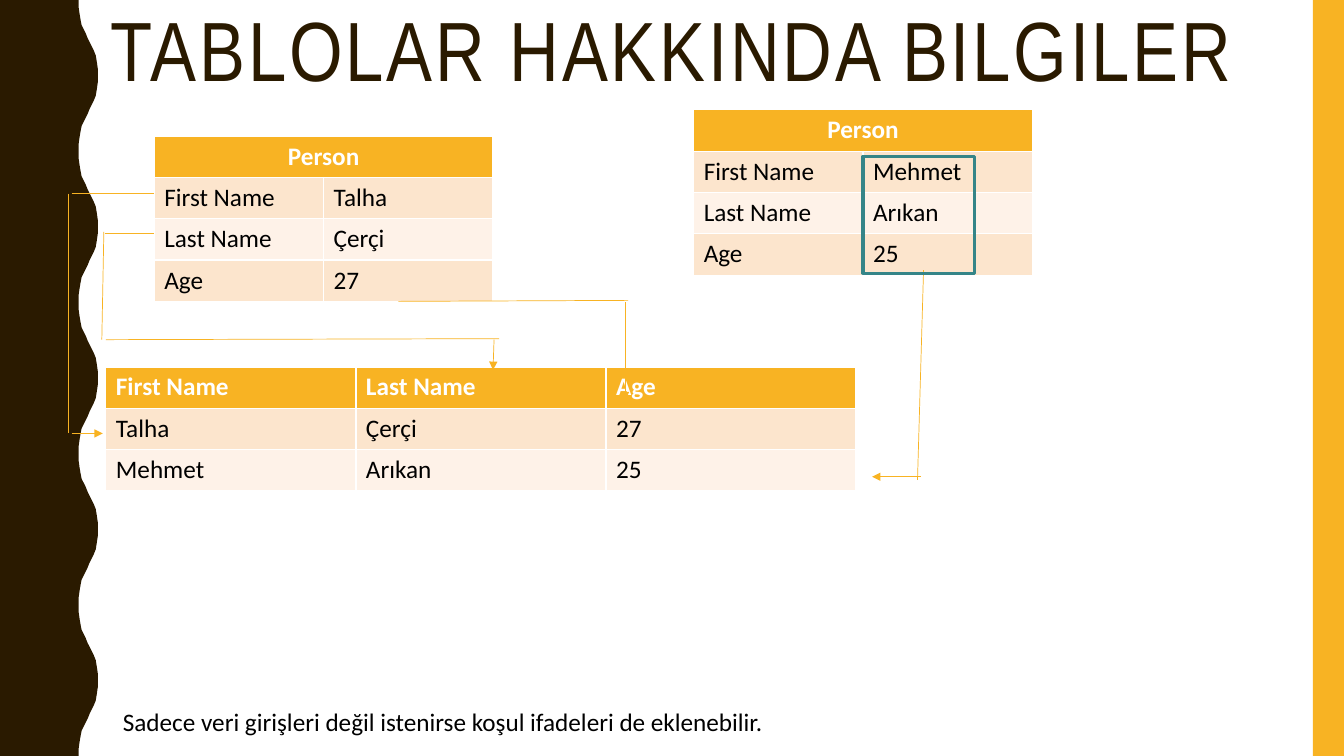
from lxml.etree import SubElement
from pptx import Presentation
from pptx.dml.color import RGBColor
from pptx.enum.shapes import MSO_CONNECTOR as Connector, MSO_SHAPE as Preset
from pptx.enum.text import MSO_ANCHOR as Anchor, MSO_AUTO_SIZE as AutoSize, PP_ALIGN as Align
from pptx.oxml.ns import qn
from pptx.util import Inches, Pt

DARK, AMBER, TEAL = "2A1A00", "F8B323", "358588"
WHITE, BLACK = "FFFFFF", "000000"
BANDS = ["FCE5CD", "FEF2E8"]
BODY = {"name": "Calibri", "size": Pt(18), "bold": False}
HEADER = {**BODY, "bold": True}
TITLE = {"name": "Arial Narrow", "size": Pt(60), "bold": False}


def color(value):
    return RGBColor.from_string(value)


def write(frame, text, formats, text_color, align=Align.LEFT):
    paragraph = frame.paragraphs[0]
    paragraph.alignment = align
    run = paragraph.add_run()
    run.text = text
    for name, value in formats.items():
        setattr(run.font, name, value)
    run.font.color.rgb = color(text_color)
    return run


presentation = Presentation()
presentation.slide_width = Inches(13.33)
presentation.slide_height = Inches(7.5)
slide = presentation.slides.add_slide(presentation.slide_layouts[5])
shapes = slide.shapes

crest_x = [0.78, 0.78, 0.79, 0.8, 0.81, 0.83, 0.85, 0.87, 0.89, 0.91, 0.93, 0.95, 0.96, 0.97, 0.97]
crest_y = [0, 0.07, 0.14, 0.2, 0.25, 0.29, 0.33, 0.38, 0.42, 0.46, 0.5, 0.55, 0.61, 0.68, 0.75]
wave = []
for half in range(10):
    edge = crest_x if half % 2 == 0 else crest_x[::-1]
    wave += [(Inches(x), Inches(y + half * 0.75)) for x, y in zip(edge, crest_y)]
builder = shapes.build_freeform(0, 0)
builder.add_line_segments(wave + [(0, Inches(7.5))], close=True)
wavy_band = builder.convert_to_shape()
side_band = shapes.add_shape(Preset.RECTANGLE, Inches(13.02), 0, Inches(0.31), Inches(7.5))
for band, fill in [(wavy_band, DARK), (side_band, AMBER)]:
    band.shadow.inherit = False
    band.fill.solid()
    band.fill.fore_color.rgb = color(fill)
    band.line.fill.background()

title = shapes.title
title.left, title.top, title.width, title.height = 0, 0, Inches(13.33), Inches(1.04)
title_frame = title.text_frame
title_frame.auto_size = AutoSize.NONE
title_frame.vertical_anchor = Anchor.BOTTOM
title_frame.paragraphs[0].line_spacing = 0.9
title_run = write(title_frame, "TABLOLAR HAKKINDA BILGILER", TITLE, DARK, Align.CENTER)
title_run.font._element.set("spc", "200")

tables = [
    (1.53, 1.35, 1.68, [["Person", ""], ["First Name", "Talha"], ["Last Name", "Çerçi"], ["Age", "27"]]),
    (1.05, 3.64, 2.48, [["First Name", "Last Name", "Age"], ["Talha", "Çerçi", "27"], ["Mehmet", "Arıkan", "25"]]),
    (6.88, 1.09, 1.68, [["Person", ""], ["First Name", "Mehmet"], ["Last Name", "Arıkan"], ["Age", "25"]]),
]
for left, top, column_width, rows in tables:
    columns = len(rows[0])
    table = shapes.add_table(len(rows), columns, Inches(left), Inches(top),
                             Inches(column_width * columns), Inches(0.41 * len(rows))).table
    for column in table.columns:
        column.width = Inches(column_width)
    merged = rows[0][-1] == ""
    if merged:
        table.cell(0, 0).merge(table.cell(0, 1))
    for row_index, row in enumerate(rows):
        table.rows[row_index].height = Inches(0.41)
        header = row_index == 0
        for column_index, text in enumerate(row):
            cell = table.cell(row_index, column_index)
            cell.fill.solid()
            cell.fill.fore_color.rgb = color(AMBER if header else BANDS[(row_index - 1) % 2])
            if text:
                write(cell.text_frame, text, HEADER if header else BODY, WHITE if header else BLACK,
                      Align.CENTER if header and merged else Align.LEFT)

links = [
    (0.68, 1.92, 0.68, 4.3, False),
    (0.71, 4.3, 1.02, 4.3, True),
    (1.03, 2.3, 1.01, 3.37, False),
    (1.05, 3.37, 4.95, 3.36, False),
    (4.9, 3.37, 4.89, 3.67, True),
    (6.2, 3, 6.2, 3.97, True),
    (3.95, 2.99, 6.23, 2.98, False),
    (0.71, 1.92, 1.53, 1.92, False),
    (1.04, 2.32, 1.53, 2.32, False),
    (9.16, 2.68, 9.1, 4.76, False),
    (9.13, 4.73, 8.65, 4.73, True),
]
for *ends, arrow in links:
    link = shapes.add_connector(Connector.STRAIGHT, *[Inches(end) for end in ends])
    link.line.color.rgb = color(AMBER)
    link.line.width = Pt(0.5)
    if arrow:
        SubElement(link.line._get_or_add_ln(), qn("a:tailEnd"), type="triangle")
    SubElement(link._element.spPr, qn("a:effectLst"))

values_frame = shapes.add_shape(Preset.RECTANGLE, Inches(8.56), Inches(1.55), Inches(1.11), Inches(1.16))
values_frame.shadow.inherit = False
values_frame.fill.background()
values_frame.line.color.rgb = color(TEAL)
values_frame.line.width = Pt(2.25)

note = shapes.add_textbox(Inches(1.12), Inches(6.96), Inches(11.17), Inches(0.4))
note.text_frame.word_wrap = True
write(note.text_frame, "Sadece veri girişleri değil istenirse koşul ifadeleri de eklenebilir.", BODY, BLACK)

presentation.save("out.pptx")
